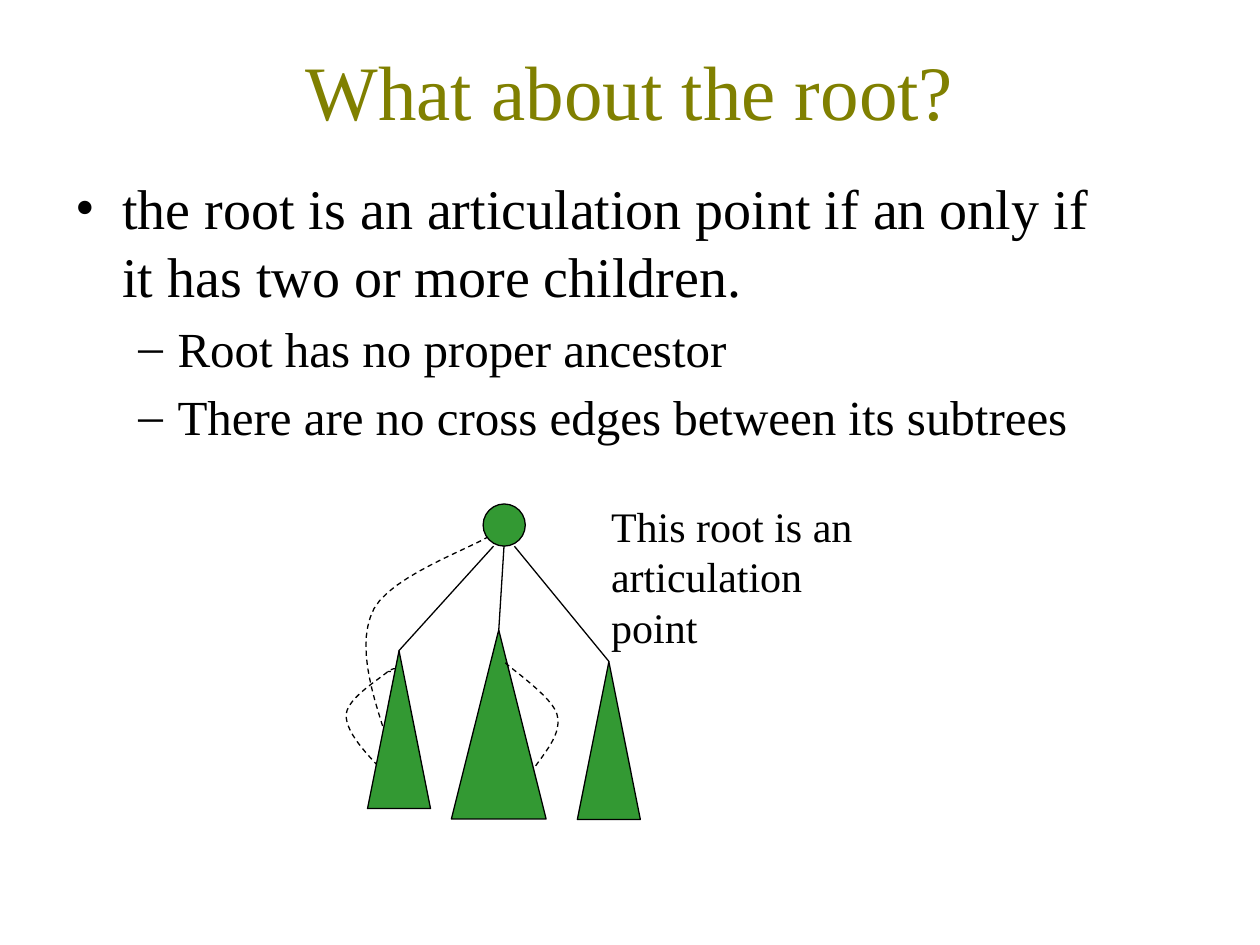
from lxml.etree import SubElement
from pptx import Presentation
from pptx.dml.color import RGBColor
from pptx.enum.dml import MSO_LINE
from pptx.enum.shapes import MSO_CONNECTOR, MSO_SHAPE
from pptx.enum.text import MSO_ANCHOR, PP_ALIGN
from pptx.oxml.ns import qn
from pptx.util import Cm, Pt

FONT = "Times New Roman"
BLACK, OLIVE, GREEN = "000000", "808000", "339933"

TITLE = "What about the root?"
POINTS = [
    ("the root is an articulation point if an only if it has two or more children.", 0),
    ("Root has no proper ancestor", 1),
    ("There are no cross edges between its subtrees", 1),
]
LEVELS = [
    dict(bullet="•", indent=0.95, hanging=0.95, size=32),
    dict(bullet="–", indent=2.06, hanging=0.79, size=28),
]
NOTE = "This root is an articulation point"

ROOT = (9.74, 10.16, 0.85, 0.85)
SUBTREES = [(7.41, 13.12, 1.27, 3.18), (9.1, 12.7, 1.91, 3.81), (11.64, 13.34, 1.27, 3.18)]
MIDDLE_EDGE = [(9.95, 14.39), (10.16, 11.01)]
OUTER_EDGES = [[(8.04, 13.12), (9.95, 11.01)], [(10.37, 11.01), (12.28, 13.34)]]
LEFT_BACK_EDGES = [
    [(7.62, 15.44), (7.29, 15.09), (6.96, 14.71), (6.98, 14.4), (7.01, 14.07),
     (7.65, 13.69), (7.82, 13.54), (8, 13.41), (8.05, 13.54), (8.05, 13.54),
     (8.05, 13.54), (7.92, 13.54), (7.82, 13.54)],
    [(7.77, 14.81), (7.47, 13.89), (7.19, 12.95), (7.54, 12.27), (7.9, 11.61),
     (9.5, 11.05), (9.88, 10.8)],
]
MIDDLE_BACK_EDGE = [(10.8, 15.44), (11.05, 15.09), (11.33, 14.76), (11.23, 14.4),
                    (11.13, 14.05), (10.34, 13.51), (10.16, 13.34)]


def colour(value):
    return RGBColor.from_string(value)


def write(para, text, size, ink=BLACK, align=PP_ALIGN.LEFT, before=0,
          bullet=None, indent=0, hanging=0):
    if bullet:
        properties = para._p.get_or_add_pPr()
        properties.set("marL", str(Cm(indent)))
        properties.set("indent", str(-Cm(hanging)))
        SubElement(properties, qn("a:buFont"), typeface=FONT)
        SubElement(properties, qn("a:buChar"), char=bullet)
    para.alignment = align
    para.space_before = Pt(before)
    span = para.add_run()
    span.text = text
    span.font.name, span.font.size = FONT, Pt(size)
    span.font.color.rgb = colour(ink)


def place(shape, *bounds):
    shape.left, shape.top, shape.width, shape.height = map(Cm, bounds)


def add_box(page, *bounds):
    frame = page.shapes.add_textbox(*map(Cm, bounds)).text_frame
    frame.word_wrap = True
    return frame


def outline(shape):
    shape.line.color.rgb = colour(BLACK)
    shape.line.width = Pt(0.75)


def add_node(page, kind, bounds):
    node = page.shapes.add_shape(kind, *map(Cm, bounds))
    node.shadow.inherit = False
    node.fill.solid()
    node.fill.fore_color.rgb = colour(GREEN)
    outline(node)


def add_edge(page, start, end):
    edge = page.shapes.add_connector(MSO_CONNECTOR.STRAIGHT, *map(Cm, start + end))
    SubElement(edge._element.spPr, qn("a:effectLst"))
    outline(edge)


def bezier(points, steps=12):
    for first in range(0, len(points) - 1, 3):
        controls = points[first:first + 4]
        for step in range(1, steps + 1):
            t = step / steps
            weights = ((1 - t) ** 3, 3 * t * (1 - t) ** 2, 3 * t * t * (1 - t), t ** 3)
            yield tuple(Cm(sum(w * c for w, c in zip(weights, axis)))
                        for axis in zip(*controls))


def add_back_edge(page, points):
    builder = page.shapes.build_freeform(*map(Cm, points[0]))
    builder.add_line_segments(bezier(points), close=False)
    curve = builder.convert_to_shape()
    curve.shadow.inherit = False
    curve.fill.background()
    outline(curve)
    curve.line.dash_style = MSO_LINE.DASH


def main():
    """Build the slide about the root as an articulation point."""
    deck = Presentation()
    deck.slide_width, deck.slide_height = Cm(25.4), Cm(19.05)
    page = deck.slides.add_slide(deck.slide_layouts[5])

    title = page.shapes.title
    place(title, 1.27, 0.76, 22.86, 3.18)
    title.text_frame.vertical_anchor = MSO_ANCHOR.TOP
    write(title.text_frame.paragraphs[0], TITLE, 44, OLIVE, PP_ALIGN.CENTER)

    body = add_box(page, 1.27, 3.38, 21.39, 4.88)
    for number, (text, level) in enumerate(POINTS):
        style = LEVELS[level]
        para = body.add_paragraph() if number else body.paragraphs[0]
        para.level = level
        write(para, text, before=0.2 * style["size"] if number else 0, **style)

    for points in LEFT_BACK_EDGES:
        add_back_edge(page, points)
    add_edge(page, *MIDDLE_EDGE)
    for bounds in SUBTREES:
        add_node(page, MSO_SHAPE.ISOSCELES_TRIANGLE, bounds)
    add_node(page, MSO_SHAPE.OVAL, ROOT)
    for ends in OUTER_EDGES:
        add_edge(page, *ends)
    add_back_edge(page, MIDDLE_BACK_EDGE)

    note = add_box(page, 12.07, 9.96, 6.15, 1.78)
    write(note.paragraphs[0], NOTE, 24)
    deck.save("out.pptx")


if __name__ == "__main__":
    main()
